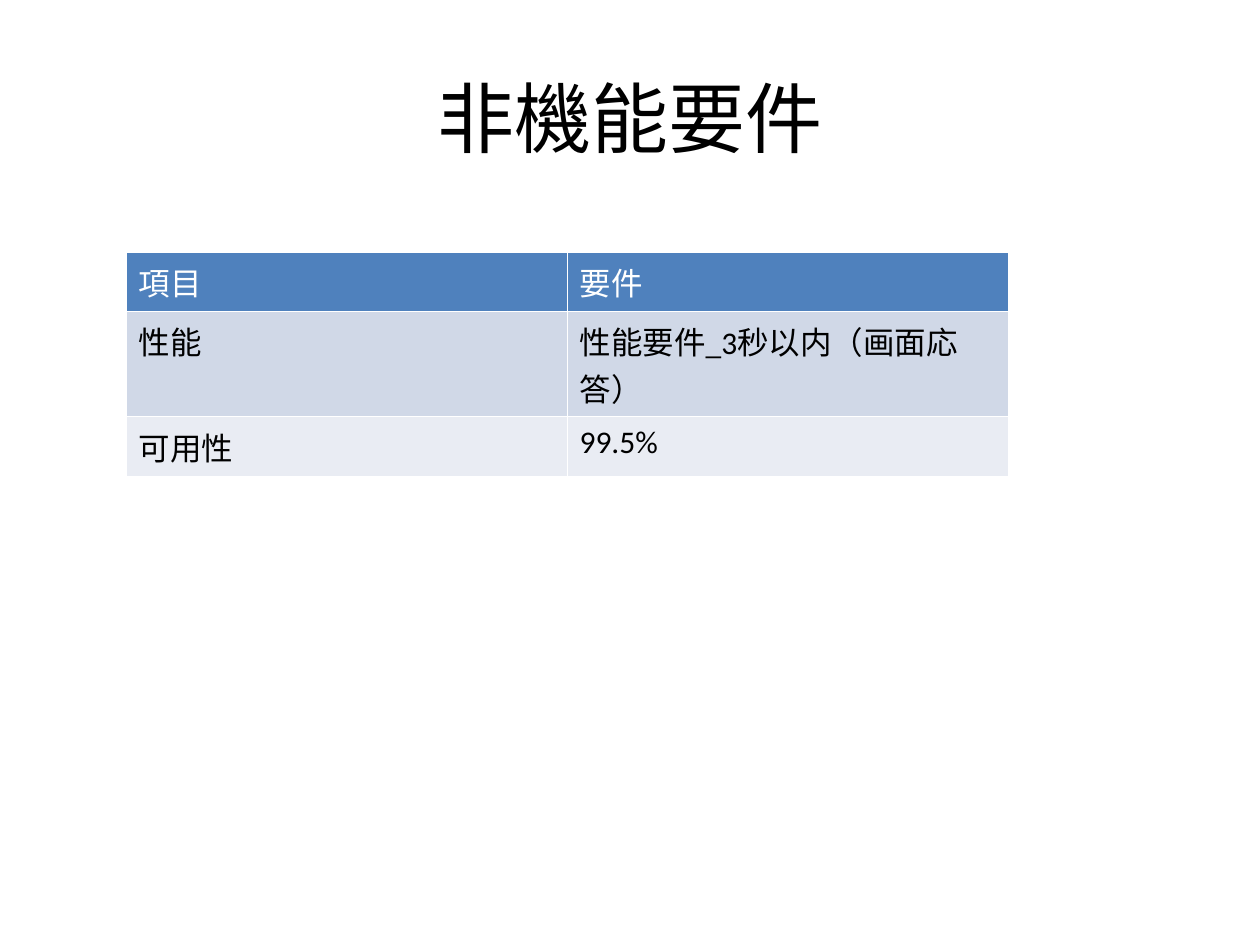
from lxml import etree
from pptx import Presentation
from pptx import util as u
from pptx.dml.color import RGBColor
from pptx.enum import text
from pptx.oxml import ns

TITLE = "非機能要件"
ROWS = [
    ("項目", "要件"),
    ("性能", "性能要件_3秒以内（画面応答）"),
    ("可用性", "99.5%"),
]
ROW_HEIGHTS = [1.19, 2.13, 1.19]
COLUMN_WIDTH = 8.89

FONT = "Calibri"
BLACK = RGBColor(0x00, 0x00, 0x00)
WHITE = RGBColor(0xFF, 0xFF, 0xFF)
HEADER_BLUE = RGBColor(0x4F, 0x81, 0xBD)
BAND_DARK = RGBColor(0xD0, 0xD8, 0xE7)
BAND_LIGHT = RGBColor(0xE9, 0xEC, 0xF3)
ROW_STYLES = [(HEADER_BLUE, WHITE), (BAND_DARK, BLACK), (BAND_LIGHT, BLACK)]


def add_run(paragraph, content, size, color):
    run = paragraph.add_run()
    run.text = content
    run.font.name = FONT
    run.font.size = u.Pt(size)
    run.font.bold = False
    run.font.color.rgb = color


def add_borders(cell, color, width):
    properties = cell._tc.get_or_add_tcPr()
    for side in ("a:lnL", "a:lnR", "a:lnT", "a:lnB"):
        line = etree.SubElement(properties, ns.qn(side), w=str(u.Pt(width)))
        fill = etree.SubElement(line, ns.qn("a:solidFill"))
        etree.SubElement(fill, ns.qn("a:srgbClr"), val=str(color))


def add_title(slide):
    title = slide.shapes.title
    title.left, title.top = u.Cm(1.27), u.Cm(0.76)
    title.width, title.height = u.Cm(22.86), u.Cm(3.18)
    title.text_frame.vertical_anchor = text.MSO_ANCHOR.MIDDLE
    paragraph = title.text_frame.paragraphs[0]
    paragraph.alignment = text.PP_ALIGN.CENTER
    add_run(paragraph, TITLE, 44, BLACK)


def add_requirements_table(slide):
    columns = len(ROWS[0])
    table = slide.shapes.add_table(
        len(ROWS), columns, u.Cm(2.54), u.Cm(5.08),
        u.Cm(COLUMN_WIDTH * columns), u.Cm(sum(ROW_HEIGHTS)),
    ).table
    for column in table.columns:
        column.width = u.Cm(COLUMN_WIDTH)
    for row, height, values, (fill, color) in zip(table.rows, ROW_HEIGHTS, ROWS, ROW_STYLES):
        row.height = u.Cm(height)
        for cell, value in zip(row.cells, values):
            add_borders(cell, WHITE, 0.45)
            cell.fill.solid()
            cell.fill.fore_color.rgb = fill
            paragraph = cell.text_frame.paragraphs[0]
            paragraph.line_spacing = 1.02
            add_run(paragraph, value, 18, color)


def main():
    presentation = Presentation()
    presentation.slide_width, presentation.slide_height = u.Cm(25.4), u.Cm(19.05)
    slide = presentation.slides.add_slide(presentation.slide_layouts[5])
    add_title(slide)
    add_requirements_table(slide)
    presentation.save("out.pptx")


if __name__ == "__main__":
    main()
